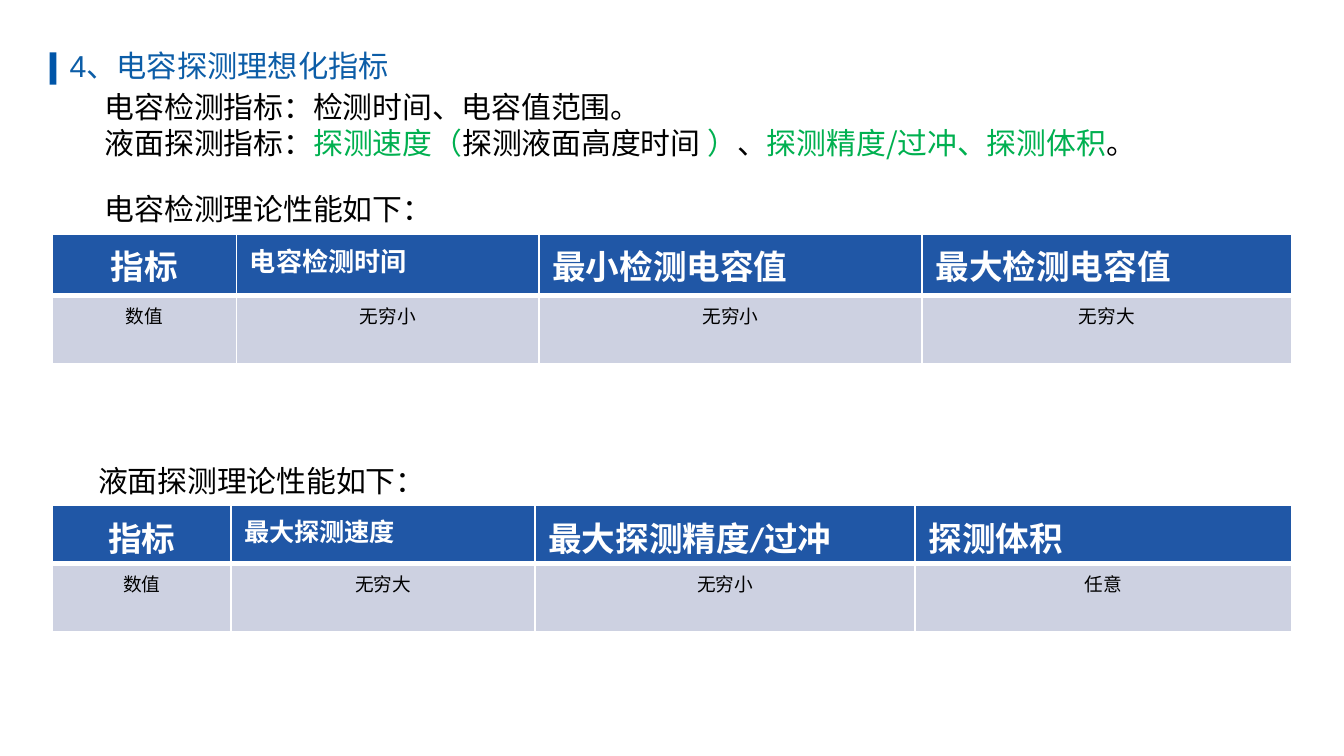
from dataclasses import dataclass

from lxml import etree
from pptx import Presentation
from pptx import util as u
from pptx.dml.color import RGBColor
from pptx.enum import shapes, text
from pptx.oxml.ns import qn

BAR = RGBColor(0x00, 0x55, 0xA8)
TITLE = RGBColor(0x0C, 0x5D, 0xA7)
HEAD = RGBColor(0x20, 0x57, 0xA6)
BODY = RGBColor(0xCD, 0xD1, 0xE1)
GREEN = RGBColor(0x00, 0xB0, 0x50)
BLACK = RGBColor(0, 0, 0)
WHITE = RGBColor(255, 255, 255)
NOTO = "Noto Sans CJK SC"
LEFT = 0.39
WIDE = 10


@dataclass
class Run:
    words: str
    color: RGBColor = BLACK


@dataclass
class Note:
    top: float
    high: float
    inset: float
    lines: list[list[Run]]


@dataclass
class Grid:
    top: float
    cols: list[float]
    rows: list[float]
    head: list[str]
    body: list[str]
    small: float


NOTES = [
    Note(0.61, 0.64, 0.39, [
        [Run("电容检测指标：检测时间、电容值范围。")],
        [Run("液面探测指标："), Run("探测速度（", GREEN),
         Run("探测液面高度时间 "), Run("）", GREEN), Run("、"),
         Run("探测精度/过冲、探测体积", GREEN), Run("。")],
    ]),
    Note(1.37, 0.37, 0.39, [[Run("电容检测理论性能如下：")]]),
    Note(3.39, 0.37, 0.34, [[Run("液面探测理论性能如下：")]]),
]

GRIDS = [
    Grid(1.74, [1.37, 2.25, 2.85, 2.75], [0.46, 0.51],
         ["指标", "电容检测时间", "最小检测电容值", "最大检测电容值"],
         ["数值", "无穷小", "无穷小", "无穷大"], 14),
    Grid(3.76, [1.33, 2.26, 2.83, 2.8], [0.43, 0.51],
         ["指标", "最大探测速度", "最大探测精度/过冲", "探测体积"],
         ["数值", "无穷大", "无穷小", "任意"], 13.5),
]


def style(run, size: float, color: RGBColor, face: str, bold: bool = False) -> None:
    font = run.font
    font.size, font.bold, font.name = u.Pt(size), bold, face
    font.color.rgb = color
    east = etree.SubElement(run._r.get_or_add_rPr(), qn("a:ea"))
    east.set("typeface", NOTO)


def edge(cell, top: float, base: float) -> None:
    props = cell._tc.get_or_add_tcPr()
    for side, width in zip("LRTB", (1, 1, top, base)):
        line = etree.SubElement(props, qn(f"a:ln{side}"), w=str(u.Pt(width)))
        fill = etree.SubElement(line, qn("a:solidFill"))
        etree.SubElement(fill, qn("a:srgbClr"), val=str(WHITE))


def add_box(slide, top: float, wide: float, high: float, left: float = LEFT):
    box = slide.shapes.add_textbox(
        u.Inches(left), u.Inches(top), u.Inches(wide), u.Inches(high))
    box.text_frame.word_wrap = True
    return box.text_frame


def add_title(slide) -> None:
    bar = slide.shapes.add_shape(
        shapes.MSO_SHAPE.RECTANGLE,
        u.Inches(0.37), u.Inches(0.39), u.Inches(0.05), u.Inches(0.24))
    bar.shadow.inherit = False
    bar.fill.solid()
    bar.fill.fore_color.rgb = BAR
    bar.line.fill.background()
    frame = add_box(slide, 0.3, 4.97, 0.38, 0.42)
    frame.vertical_anchor = text.MSO_ANCHOR.MIDDLE
    frame.text = "4、电容探测理想化指标"
    style(frame.paragraphs[0].runs[0], 16.2, TITLE, "Arial")


def add_note(slide, note: Note) -> None:
    frame = add_box(slide, note.top, 8.94, note.high)
    frame.margin_left = u.Inches(note.inset)
    for i, line in enumerate(note.lines):
        para = frame.add_paragraph() if i else frame.paragraphs[0]
        para.alignment = text.PP_ALIGN.JUSTIFY
        for part in line:
            run = para.add_run()
            run.text = part.words
            style(run, 16, part.color, NOTO)


def add_grid(slide, grid: Grid) -> None:
    table = slide.shapes.add_table(
        2, len(grid.cols), u.Inches(LEFT), u.Inches(grid.top),
        u.Inches(sum(grid.cols)), u.Inches(sum(grid.rows))).table
    for col, wide in zip(table.columns, grid.cols):
        col.width = u.Inches(wide)
    for row, high in zip(table.rows, grid.rows):
        row.height = u.Inches(high)
    for r, words in enumerate((grid.head, grid.body)):
        for c, word in enumerate(words):
            cell = table.cell(r, c)
            edge(cell, 3 if r else 1, 1 if r else 3)
            cell.fill.solid()
            cell.fill.fore_color.rgb = BODY if r else HEAD
            cell.text_frame.text = word
            para = cell.text_frame.paragraphs[0]
            if r or c == 0:
                para.alignment = text.PP_ALIGN.CENTER
            size = 10 if r else grid.small if c == 1 else 18
            face = NOTO if r or c == 1 else "Calibri"
            style(para.runs[0], size, BLACK if r else WHITE, face, not r)


def main() -> None:
    deck = Presentation()
    deck.slide_width, deck.slide_height = u.Inches(WIDE), u.Inches(WIDE * 9 / 16)
    slide = deck.slides.add_slide(deck.slide_layouts[6])
    add_title(slide)
    for note in NOTES:
        add_note(slide, note)
    for grid in GRIDS:
        add_grid(slide, grid)
    deck.save("out.pptx")


if __name__ == "__main__":
    main()
